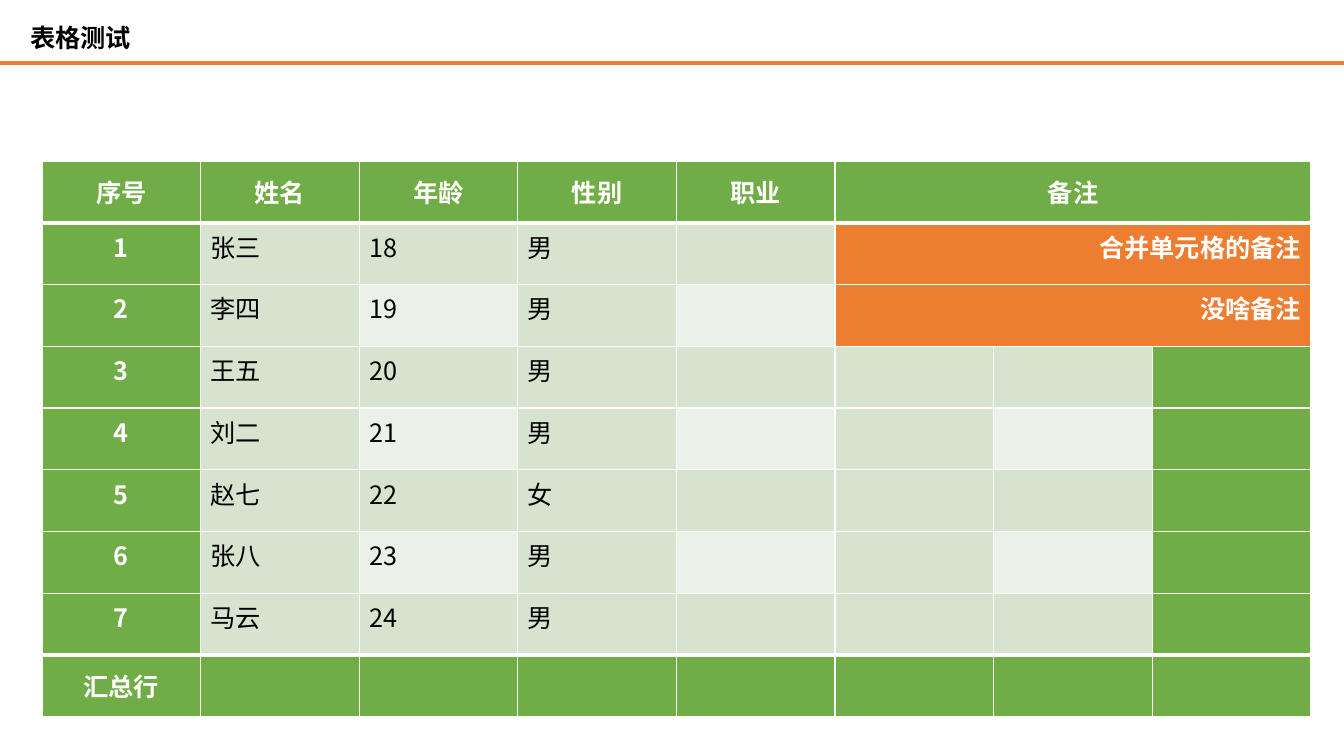
from dataclasses import dataclass

from lxml import etree
from pptx import Presentation
from pptx import util as u
from pptx.dml.color import RGBColor
from pptx.enum import shapes, text
from pptx.oxml import ns

# Content
TITLE = "表格测试"
HEADER = ("序号", "姓名", "年龄", "性别", "职业", "备注")
PEOPLE = [
    ("1", "张三", "18", "男", "", "合并单元格的备注"),
    ("2", "李四", "19", "男", "", "没啥备注"),
    ("3", "王五", "20", "男"),
    ("4", "刘二", "21", "男"),
    ("5", "赵七", "22", "女"),
    ("6", "张八", "23", "男"),
    ("7", "马云", "24", "男"),
]
TOTAL = ("汇总行",)
COLUMNS = 8
REMARK = 5  # first of the columns under the remark heading


@dataclass(frozen=True)
class Theme:
    font: str = "Noto Sans CJK SC"
    size: int = 18
    ink: str = "000000"
    white: str = "FFFFFF"
    green: str = "70AD47"
    band: str = "D5E3CF"
    pale: str = "EBF1E9"
    orange: str = "ED7D31"
    thin: int = 1
    thick: int = 3


THEME = Theme()


def px(n):
    return u.Emu(round(n * 914400 / 100.8))


def add_run(paragraph, words, color, bold):
    run = paragraph.add_run()
    run.text = words
    font = run.font
    font.size, font.bold = u.Pt(THEME.size), bold
    font.color.rgb = RGBColor.from_string(color)
    font.name = THEME.font
    east_asian = etree.SubElement(run._r.get_or_add_rPr(), ns.qn("a:ea"))
    east_asian.set("typeface", THEME.font)


def set_borders(cell, top, bottom):
    sides = {"lnL": THEME.thin, "lnR": THEME.thin, "lnT": top, "lnB": bottom}
    for side, width in sides.items():
        border = etree.SubElement(cell._tc.get_or_add_tcPr(), ns.qn(f"a:{side}"))
        border.set("w", str(u.Pt(width)))
        fill = etree.SubElement(border, ns.qn("a:solidFill"))
        etree.SubElement(fill, ns.qn("a:srgbClr")).set("val", THEME.white)


def cell_color(row, column, last_row, has_remark):
    if row in (0, last_row) or column == 0:
        return THEME.green
    if has_remark and column >= REMARK:
        return THEME.orange
    if column == COLUMNS - 1:
        return THEME.green
    return THEME.pale if row % 2 == 0 and column % 2 == 0 else THEME.band


def add_title(slide):
    title = slide.shapes.title
    title.left, title.top, title.width, title.height = map(px, (20, 17, 122, 40))
    frame = title.text_frame
    frame.word_wrap = False
    frame.auto_size = text.MSO_AUTO_SIZE.SHAPE_TO_FIT_TEXT
    frame.vertical_anchor = text.MSO_ANCHOR.TOP
    paragraph = frame.paragraphs[0]
    paragraph.alignment = text.PP_ALIGN.LEFT
    add_run(paragraph, TITLE, THEME.ink, True)


def add_rule(slide):
    rule = slide.shapes.add_connector(
        shapes.MSO_CONNECTOR.STRAIGHT, 0, px(63), px(1344), px(63))
    rule.line.color.rgb = RGBColor.from_string(THEME.orange)
    rule.line.width = u.Pt(THEME.thick)
    etree.SubElement(rule._element.spPr, ns.qn("a:effectLst"))


def add_roster(slide):
    records = [HEADER, *PEOPLE, TOTAL]
    last_row = len(records) - 1
    width, height = px(1269), px(556)
    roster = slide.shapes.add_table(
        len(records), COLUMNS, px(42), px(161), width, height).table
    roster.first_row = roster.horz_banding = False
    for column in roster.columns:
        column.width = width // COLUMNS
    for row in roster.rows:
        row.height = height // len(records)

    heavy_edges = (1, last_row)  # below the header, above the total
    for r, record in enumerate(records):
        has_remark = len(record) > REMARK
        if has_remark:
            roster.cell(r, REMARK).merge(roster.cell(r, COLUMNS - 1))
        for c in range(COLUMNS):
            cell = roster.cell(r, c)
            color = cell_color(r, c, last_row, has_remark)
            set_borders(cell, *(THEME.thick if edge in heavy_edges else THEME.thin
                                for edge in (r, r + 1)))
            cell.fill.solid()
            cell.fill.fore_color.rgb = RGBColor.from_string(color)
            if r in (0, last_row):
                cell.vertical_anchor = text.MSO_ANCHOR.MIDDLE
            if c >= len(record) or not record[c]:
                continue
            paragraph = cell.text_frame.paragraphs[0]
            strong = color in (THEME.green, THEME.orange)
            if color == THEME.green:
                paragraph.alignment = text.PP_ALIGN.CENTER
            elif color == THEME.orange:
                paragraph.alignment = text.PP_ALIGN.RIGHT
            add_run(paragraph, record[c], THEME.white if strong else THEME.ink, strong)


def main():
    deck = Presentation()
    deck.slide_width, deck.slide_height = px(1344), px(756)
    slide = deck.slides.add_slide(deck.slide_layouts[5])  # title only
    add_roster(slide)
    add_title(slide)
    add_rule(slide)
    deck.save("out.pptx")


if __name__ == "__main__":
    main()
